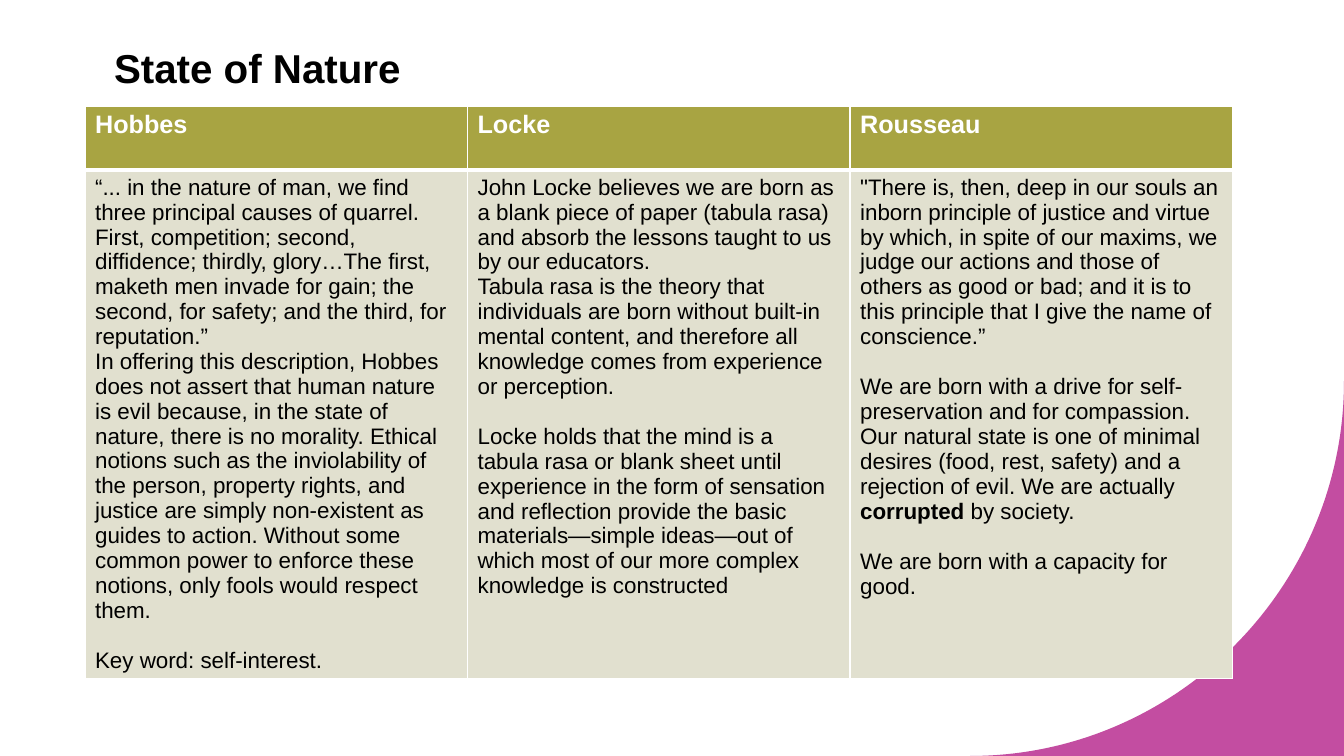
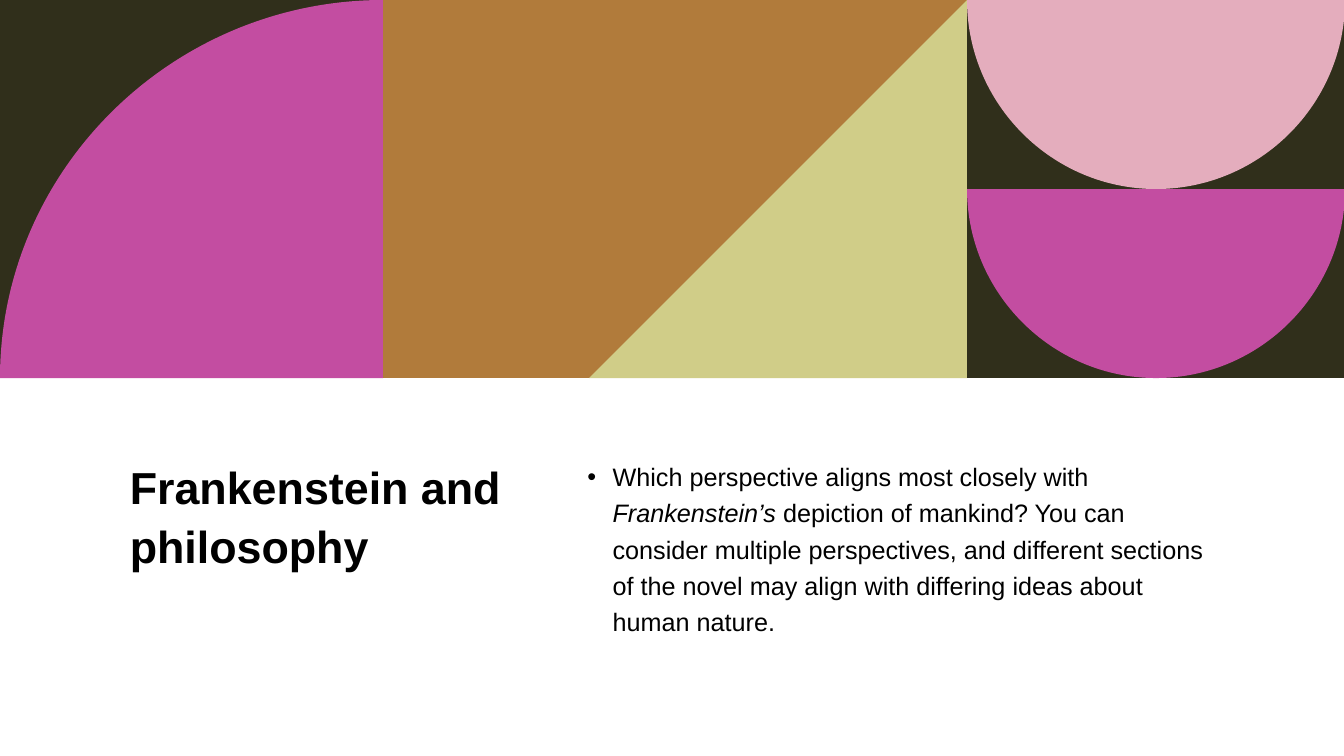
from dataclasses import dataclass

import pptx
import pptx.dml.color
import pptx.enum.shapes
import pptx.enum.text
import pptx.oxml
import pptx.oxml.ns
import pptx.util

PX = 9525
WIDTH, HEIGHT = 1280, 720
FONT = "Arial"
BLACK, WHITE, DARK = "000000", "FFFFFF", "302F1B"
MAGENTA, PINK, BROWN, LIME = "C34DA1", "E4ADBD", "B17B3B", "D0CD88"
HEADER_FILL, BODY_FILL = "A8A442", "E1E0CF"
TITLE_ONLY = 5
BAND_HEIGHT = 360
ROUNDNESS = 0.55
GAP = 18


@dataclass(frozen=True)
class Box:
    """Position and size in px."""
    left: int
    top: int
    width: int
    height: int

    def emu(self) -> list[int]:
        """Return the four lengths in EMU."""
        return [value * PX for value in (self.left, self.top, self.width, self.height)]


@dataclass(frozen=True)
class Span:
    """A stretch of text in one format."""
    text: str
    bold: bool = False
    italic: bool = False


@dataclass(frozen=True)
class Para:
    """A paragraph, its spans and the space above it in points."""
    spans: tuple[Span, ...]
    before: int = 0


@dataclass(frozen=True)
class Column:
    """One thinker's heading and paragraphs."""
    heading: str
    paras: tuple[Para, ...]


@dataclass(frozen=True)
class Knot:
    """An outline point in px, reached by a quarter arc when bent round a corner."""
    x: int
    y: int
    corner: tuple[int, int] | None = None


@dataclass(frozen=True)
class Outline:
    """A closed filled outline."""
    knots: tuple[Knot, ...]
    color: str


def plain(text: str, before: int = 0) -> Para:
    """Make a paragraph of one unformatted span."""
    return Para((Span(text),), before)


def half_disc(box: Box, color: str) -> Outline:
    """Make a half disc hanging from the top of a box."""
    right, bottom, middle = box.left + box.width, box.top + box.height, box.left + box.width // 2
    return Outline((Knot(box.left, box.top), Knot(right, box.top),
                    Knot(middle, bottom, (right, bottom)),
                    Knot(box.left, box.top, (box.left, bottom))), color)


COLUMNS = (
    Column("Hobbes", (
        plain("“... in the nature of man, we find three principal causes of quarrel. First, "
              "competition; second, diffidence; thirdly, glory…The first, maketh men invade for "
              "gain; the second, for safety; and the third, for reputation.”"),
        plain("In offering this description, Hobbes does not assert that human nature is evil "
              "because, in the state of nature, there is no morality. Ethical notions such as the "
              "inviolability of the person, property rights, and justice are simply non-existent "
              "as guides to action. Without some common power to enforce these notions, only "
              "fools would respect them."),
        plain("Key word: self-interest.", GAP))),
    Column("Locke", (
        plain("John Locke believes we are born as a blank piece of paper (tabula rasa) and absorb "
              "the lessons taught to us by our educators."),
        plain("Tabula rasa is the theory that individuals are born without built-in mental "
              "content, and therefore all knowledge comes from experience or perception."),
        plain("Locke holds that the mind is a tabula rasa or blank sheet until experience in the "
              "form of sensation and reflection provide the basic materials—simple ideas—out of "
              "which most of our more complex knowledge is constructed", GAP))),
    Column("Rousseau", (
        plain("\"There is, then, deep in our souls an inborn principle of justice and virtue by "
              "which, in spite of our maxims, we judge our actions and those of others as good or "
              "bad; and it is to this principle that I give the name of conscience.”"),
        plain("We are born with a drive for self-preservation and for compassion.", GAP),
        Para((Span("Our natural state is one of minimal desires (food, rest, safety) and a "
                   "rejection of evil. We are actually "),
              Span("corrupted", bold=True), Span(" by society."))),
        plain("We are born with a capacity for good.", GAP))),
)
QUESTION = Para((
    Span("Which perspective aligns most closely with "),
    Span("Frankenstein’s", italic=True),
    Span(" depiction of mankind? You can consider multiple perspectives, and different sections "
         "of the novel may align with differing ideas about human nature.")))

CORNER = Outline((Knot(WIDTH, 363), Knot(WIDTH, HEIGHT), Knot(924, HEIGHT),
                  Knot(WIDTH, 363, (WIDTH, HEIGHT))), MAGENTA)
BAND = (
    (Box(0, 0, 366, BAND_HEIGHT), DARK),
    Outline((Knot(365, BAND_HEIGHT), Knot(0, BAND_HEIGHT), Knot(365, 0, (0, 0))), MAGENTA),
    (Box(365, 0, 556, BAND_HEIGHT), BROWN),
    Outline((Knot(921, 0), Knot(921, BAND_HEIGHT), Knot(561, BAND_HEIGHT)), LIME),
    (Box(921, 0, 359, BAND_HEIGHT), DARK),
    half_disc(Box(921, 0, 360, 180), PINK),
    half_disc(Box(921, 180, 360, 180), MAGENTA),
)


def rgb(color: str) -> pptx.dml.color.RGBColor:
    """Turn a hex string into a colour."""
    return pptx.dml.color.RGBColor.from_string(color)


def paint(shape, color: str) -> None:
    """Give a shape a flat fill without line or shadow."""
    shape.shadow.inherit = False
    shape.fill.solid()
    shape.fill.fore_color.rgb = rgb(color)
    shape.line.fill.background()


def write(frame, paras: tuple[Para, ...], *, size: float, color: str = BLACK, bold: bool = False,
          spacing: float = 1.0, bullet: bool = False) -> None:
    """Fill a text frame with formatted paragraphs."""
    frame.word_wrap = True
    for index, para in enumerate(paras):
        line = frame.paragraphs[0] if index == 0 else frame.add_paragraph()
        if bullet:
            properties = line._p.get_or_add_pPr()
            properties.set("marL", str(24 * PX))
            properties.set("indent", str(-24 * PX))
            for tag, key, value in (("a:buFont", "typeface", FONT), ("a:buChar", "char", "•")):
                properties.append(properties.makeelement(pptx.oxml.ns.qn(tag), {key: value}))
        line.alignment = pptx.enum.text.PP_ALIGN.LEFT
        line.line_spacing = spacing
        line.space_before = pptx.util.Pt(para.before)
        for span in para.spans:
            run = line.add_run()
            run.text = span.text
            run.font.name = FONT
            run.font.size = pptx.util.Pt(size)
            run.font.bold = bold or span.bold
            run.font.italic = span.italic
            run.font.color.rgb = rgb(color)


def set_title(page, text: str, box: Box, *, size: float, anchor) -> None:
    """Place and format the title placeholder."""
    title = page.shapes.title
    title.left, title.top, title.width, title.height = box.emu()
    title.text_frame.auto_size = pptx.enum.text.MSO_AUTO_SIZE.NONE
    title.text_frame.vertical_anchor = anchor
    write(title.text_frame, (plain(text),), size=size, bold=True, spacing=1.1)


def add_panel(page, box: Box, color: str):
    """Draw a filled rectangle."""
    panel = page.shapes.add_shape(pptx.enum.shapes.MSO_SHAPE.RECTANGLE, *box.emu())
    paint(panel, color)
    return panel


def toward(knot: Knot, corner: tuple[int, int]) -> tuple[int, int]:
    """Return the handle, in EMU, between a knot and its corner."""
    return (round((knot.x + ROUNDNESS * (corner[0] - knot.x)) * PX),
            round((knot.y + ROUNDNESS * (corner[1] - knot.y)) * PX))


def add_outline(page, outline: Outline):
    """Draw an outline, turning each bent stretch into a Bezier curve."""
    first = outline.knots[0]
    points = []
    for start, end in zip(outline.knots, outline.knots[1:]):
        if end.corner:
            points += [toward(start, end.corner), toward(end, end.corner)]
        points.append((end.x * PX, end.y * PX))
    builder = page.shapes.build_freeform(first.x * PX, first.y * PX)
    builder.add_line_segments(points, close=True)
    shape = builder.convert_to_shape()
    lines = iter(list(shape.element.iter(pptx.oxml.ns.qn("a:lnTo"))))
    for knot in outline.knots[1:]:
        line = next(lines)
        if knot.corner:
            curve = line.makeelement(pptx.oxml.ns.qn("a:cubicBezTo"), {})
            line.addprevious(curve)
            for part in (line, next(lines), next(lines)):
                curve.append(part[0])
                part.getparent().remove(part)
    paint(shape, outline.color)
    return shape


def set_borders(cell, **widths: int) -> None:
    """Give a cell white borders, with widths in points by side."""
    properties = cell._tc.get_or_add_tcPr()
    for index, side in enumerate(("lnL", "lnR", "lnT", "lnB")):
        width = pptx.util.Pt(widths.get(side, 1))
        properties.insert(index, pptx.oxml.parse_xml(
            f'<a:{side} {pptx.oxml.ns.nsdecls("a")} w="{width}"><a:solidFill>'
            f'<a:srgbClr val="{WHITE}"/></a:solidFill></a:{side}>'))


def add_comparison(page, box: Box, header_height: int) -> None:
    """Add the table with one column per thinker."""
    table = page.shapes.add_table(2, len(COLUMNS), *box.emu()).table
    table.rows[0].height = header_height * PX
    table.rows[1].height = (box.height - header_height) * PX
    for index, column in enumerate(COLUMNS):
        table.columns[index].width = box.width * PX // len(COLUMNS)
        header, body = table.cell(0, index), table.cell(1, index)
        for cell, color in ((header, HEADER_FILL), (body, BODY_FILL)):
            cell.fill.solid()
            cell.fill.fore_color.rgb = rgb(color)
        set_borders(header, lnB=3)
        set_borders(body, lnT=3)
        write(header.text_frame, (plain(column.heading),), size=18, color=WHITE, bold=True)
        write(body.text_frame, column.paras, size=16)


def build_state_of_nature(page) -> None:
    """Build the comparison slide and give its layout the corner."""
    page.slide_layout.shapes.element.append(add_outline(page, CORNER).element)
    set_title(page, "State of Nature", Box(99, 39, 1044, 53), size=28.8,
              anchor=pptx.enum.text.MSO_ANCHOR.BOTTOM)
    add_comparison(page, Box(81, 101, 1093, 544), 61)


def build_frankenstein(page) -> None:
    """Build the discussion slide on a white ground."""
    ground = add_panel(page, Box(0, 0, WIDTH, HEIGHT), WHITE)
    page.shapes.title.element.addprevious(ground.element)
    set_title(page, "Frankenstein and philosophy", Box(114, 428, 382, 211), size=32,
              anchor=pptx.enum.text.MSO_ANCHOR.TOP)
    for part in BAND:
        if isinstance(part, Outline):
            add_outline(page, part)
        else:
            add_panel(page, *part)
    question = page.shapes.add_textbox(*Box(550, 429, 617, 211).emu())
    write(question.text_frame, (QUESTION,), size=18, spacing=1.2, bullet=True)


def main() -> None:
    """Build and save the deck."""
    deck = pptx.Presentation()
    deck.slide_width, deck.slide_height = WIDTH * PX, HEIGHT * PX
    for build in (build_state_of_nature, build_frankenstein):
        build(deck.slides.add_slide(deck.slide_layouts[TITLE_ONLY]))
    deck.save("out.pptx")


if __name__ == "__main__":
    main()
